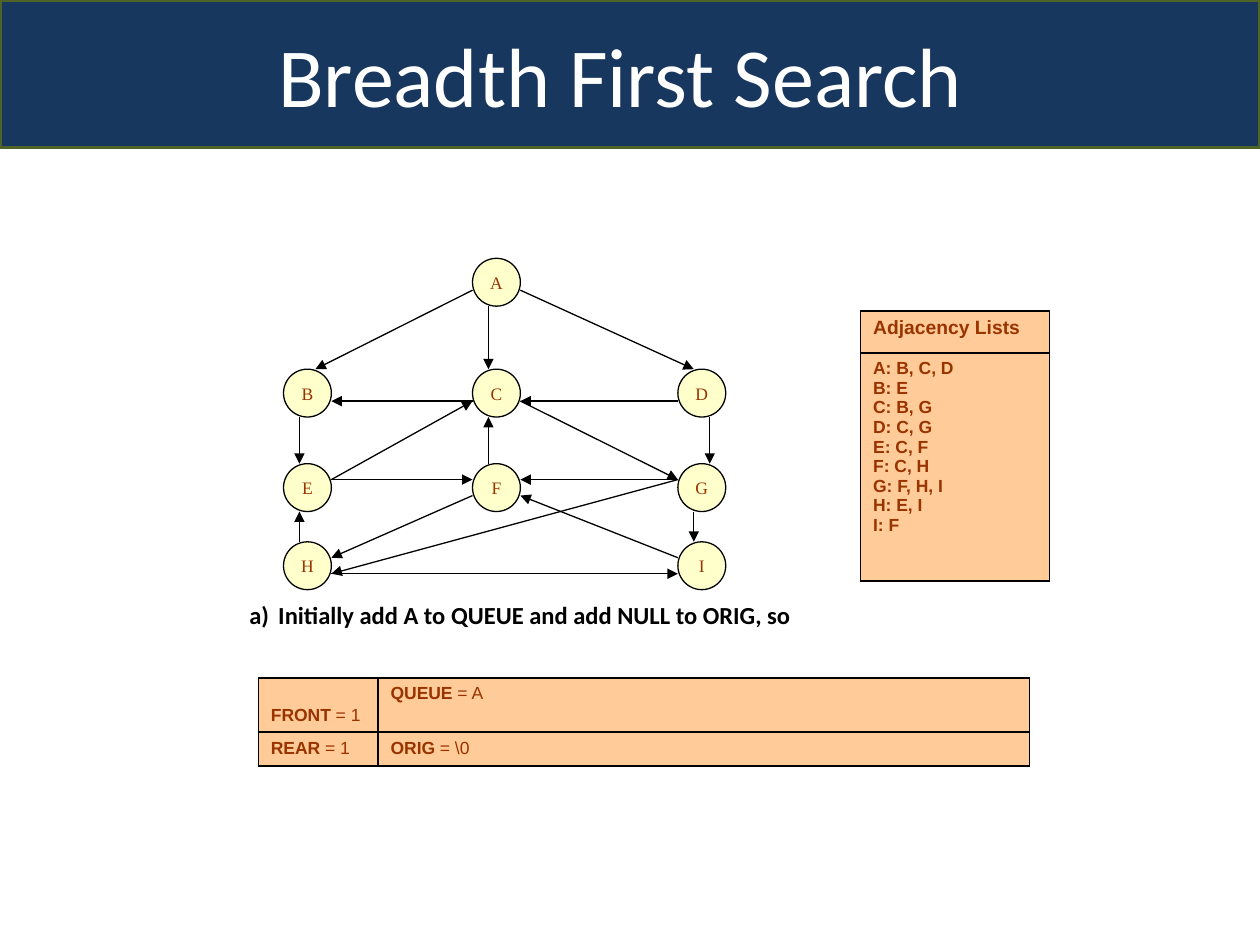
import pptx
import pptx.dml.color
import pptx.enum.shapes
import pptx.enum.text
import pptx.oxml
import pptx.oxml.ns
import pptx.util
from lxml import etree

Inches = pptx.util.Inches
Pt = pptx.util.Pt
qn = pptx.oxml.ns.qn
ALIGN = pptx.enum.text.PP_ALIGN
ANCHOR = pptx.enum.text.MSO_ANCHOR

COLORS = {
    "banner": "17375E", "banner_edge": "4F6228", "title": "FFFFFF",
    "node": "FFFFCC", "cell": "FFCC99", "label": "993300", "ink": "000000",
}
NODE_SIZE = 0.38
NODES = {
    "A": (1.5, 0), "B": (0, 0.88), "C": (1.5, 0.88), "D": (3.13, 0.88),
    "E": (0, 1.63), "F": (1.5, 1.63), "G": (3.13, 1.63),
    "H": (0, 2.25), "I": (3.13, 2.25),
}
PORTS = {
    "left upper": (0, 1 / 3), "left lower": (0, 2 / 3),
    "right upper": (1, 1 / 3), "right lower": (1, 2 / 3),
    "top left": (1 / 3, 0), "top right": (2 / 3, 0),
    "bottom left": (1 / 3, 1), "bottom right": (2 / 3, 1),
}
EDGES = [
    ("A", "left lower", "B", "top right"),
    ("A", "bottom left", "C", "top left"),
    ("A", "right lower", "D", "top left"),
    ("B", "bottom left", "E", "top left"),
    ("C", "left lower", "B", "right lower"),
    ("C", "right lower", "G", "left upper"),
    ("D", "left lower", "C", "right lower"),
    ("D", "bottom right", "G", "top right"),
    ("E", "right upper", "C", "left lower"),
    ("E", "right upper", "F", "left upper"),
    ("F", "top left", "C", "bottom left"),
    ("F", "left lower", "H", "right upper"),
    ("G", "left upper", "F", "right upper"),
    ("G", "left upper", "H", "right lower"),
    ("G", "bottom left", "I", "top left"),
    ("H", "top left", "E", "bottom left"),
    ("H", "right lower", "I", "left lower"),
    ("I", "left upper", "F", "right lower"),
]
ADJACENCY = ["A: B, C, D", "B: E", "C: B, G", "D: C, G", "E: C, F",
             "F: C, H", "G: F, H, I", "H: E, I", "I: F"]
QUEUE_STATE = [
    [("FRONT", " = 1"), ("QUEUE", " = A")],
    [("REAR", " = 1"), ("ORIG", " = \\0")],
]


def color(name):
    """Return the named palette colour."""
    return pptx.dml.color.RGBColor.from_string(COLORS[name])


def paint(shape, fill, line, width):
    """Give a shape a solid fill and an outline."""
    shape.fill.solid()
    shape.fill.fore_color.rgb = color(fill)
    shape.line.color.rgb = color(line)
    shape.line.width = Pt(width)


def format_font(paragraph, name, size, tint, bold=None):
    """Set the font of a whole paragraph."""
    font = paragraph.font
    font.name, font.size, font.bold = name, Pt(size), bold
    font.color.rgb = color(tint)


def add_banner(slide, left, top, width, height):
    """Turn the title placeholder into the banner."""
    title = slide.shapes.title
    title.left, title.top = Inches(left), Inches(top)
    title.width, title.height = Inches(width), Inches(height)
    paint(title, "banner", "banner_edge", 2)
    frame = title.text_frame
    frame.auto_size = pptx.enum.text.MSO_AUTO_SIZE.NONE
    frame.vertical_anchor = ANCHOR.MIDDLE
    paragraph = frame.paragraphs[0]
    paragraph.text = "Breadth First Search "
    paragraph.alignment = ALIGN.CENTER
    format_font(paragraph, "Calibri", 48, "title")


def add_node(slide, label, left, top):
    """Draw one labelled graph node."""
    size = Inches(NODE_SIZE)
    node = slide.shapes.add_shape(
        pptx.enum.shapes.MSO_SHAPE.OVAL, Inches(left), Inches(top), size, size)
    node.shadow.inherit = False
    paint(node, "node", "ink", 0.75)
    frame = node.text_frame
    frame.margin_left = frame.margin_right = 0
    frame.margin_top = frame.margin_bottom = 0
    frame.word_wrap = False
    frame.vertical_anchor = ANCHOR.MIDDLE
    paragraph = frame.paragraphs[0]
    paragraph.text = label
    paragraph.alignment = ALIGN.CENTER
    format_font(paragraph, "Times New Roman", 10, "label")


def add_arrow(slide, start, end):
    """Draw an arrow between two points."""
    arrow = slide.shapes.add_connector(
        pptx.enum.shapes.MSO_CONNECTOR.STRAIGHT,
        *(Inches(value) for value in (*start, *end)))
    arrow.line.color.rgb = color("ink")
    arrow.line.width = Pt(0.75)
    properties = arrow._element.spPr
    etree.SubElement(properties.find(qn("a:ln")), qn("a:tailEnd"), type="triangle")
    etree.SubElement(properties, qn("a:effectLst"))


def add_graph(slide, left, top):
    """Draw the directed graph from its nodes and edges."""
    def port_point(label, port):
        """Locate a port of a node on the slide."""
        return [origin + offset + NODE_SIZE * share for origin, offset, share
                in zip((left, top), NODES[label], PORTS[port])]

    for label, (x, y) in NODES.items():
        add_node(slide, label, left + x, top + y)
    for source, exit_port, target, entry_port in EDGES:
        add_arrow(slide, port_point(source, exit_port), port_point(target, entry_port))


def add_grid(slide, left, top, columns, rows):
    """Add a table with the given column widths and row heights."""
    table = slide.shapes.add_table(
        len(rows), len(columns), Inches(left), Inches(top),
        Inches(sum(columns)), Inches(sum(rows))).table
    table.first_row = table.horz_banding = False
    for column, width in zip(table.columns, columns):
        column.width = Inches(width)
    for row, height in zip(table.rows, rows):
        row.height = Inches(height)
    for cell in table.iter_cells():
        properties = cell._tc.get_or_add_tcPr()
        for side in ("a:lnL", "a:lnR", "a:lnT", "a:lnB"):
            border = etree.SubElement(properties, qn(side), w=str(Pt(1)))
            fill = etree.SubElement(border, qn("a:solidFill"))
            etree.SubElement(fill, qn("a:srgbClr"), val=COLORS["ink"])
        cell.fill.solid()
        cell.fill.fore_color.rgb = color("cell")
    return table


def add_adjacency_table(slide, left, top):
    """Add the table of adjacency lists."""
    table = add_grid(slide, left, top, [1.5], [0.33, 1.81])
    contents = [("Adjacency Lists", 11), ("\n".join(ADJACENCY), 10)]
    for cell, (text, size) in zip(table.iter_cells(), contents):
        cell.text_frame.text = text
        for paragraph in cell.text_frame.paragraphs:
            paragraph.alignment = ALIGN.JUSTIFY
            format_font(paragraph, "Arial", size, "label", True)


def add_step(slide, left, top, width, height):
    """Add the lettered step below the graph."""
    box = slide.shapes.add_textbox(
        Inches(left), Inches(top), Inches(width), Inches(height))
    frame = box.text_frame
    frame.word_wrap = True
    frame.vertical_anchor = ANCHOR.MIDDLE
    paragraph = frame.paragraphs[0]
    paragraph.text = "Initially add A to QUEUE and add NULL to ORIG, so"
    paragraph.alignment = ALIGN.JUSTIFY
    properties = paragraph._p.get_or_add_pPr()
    properties.set("marL", str(Inches(0.23)))
    properties.set("indent", str(Inches(-0.23)))
    etree.SubElement(properties, qn("a:buAutoNum"), type="alphaLcParenR")
    format_font(paragraph, "Calibri", 14, "ink", True)


def add_queue_table(slide, left, top):
    """Add the table of queue variables."""
    table = add_grid(slide, left, top, [0.95, 5.17], [0.43, 0.27])
    for cell, (name, value) in zip(table.iter_cells(), sum(QUEUE_STATE, [])):
        paragraph = cell.text_frame.paragraphs[0]
        paragraph.alignment = ALIGN.JUSTIFY
        format_font(paragraph, "Arial", 10, "label")
        for text, bold in ((name, True), (value, False)):
            run = paragraph.add_run()
            run.text, run.font.bold = text, bold
    table.cell(0, 0).vertical_anchor = ANCHOR.BOTTOM


def main():
    """Build the slide and save it."""
    presentation = pptx.Presentation()
    presentation.slide_width, presentation.slide_height = Inches(10), Inches(7.5)
    slide = presentation.slides.add_slide(presentation.slide_layouts[5])
    add_banner(slide, 0, 0, 10, 1.17)
    add_adjacency_table(slide, 6.83, 2.47)
    add_graph(slide, 2.25, 2.05)
    add_step(slide, 1.88, 4.71, 4.75, 0.34)
    add_queue_table(slide, 2.05, 5.38)
    presentation.save("out.pptx")


if __name__ == "__main__":
    main()
